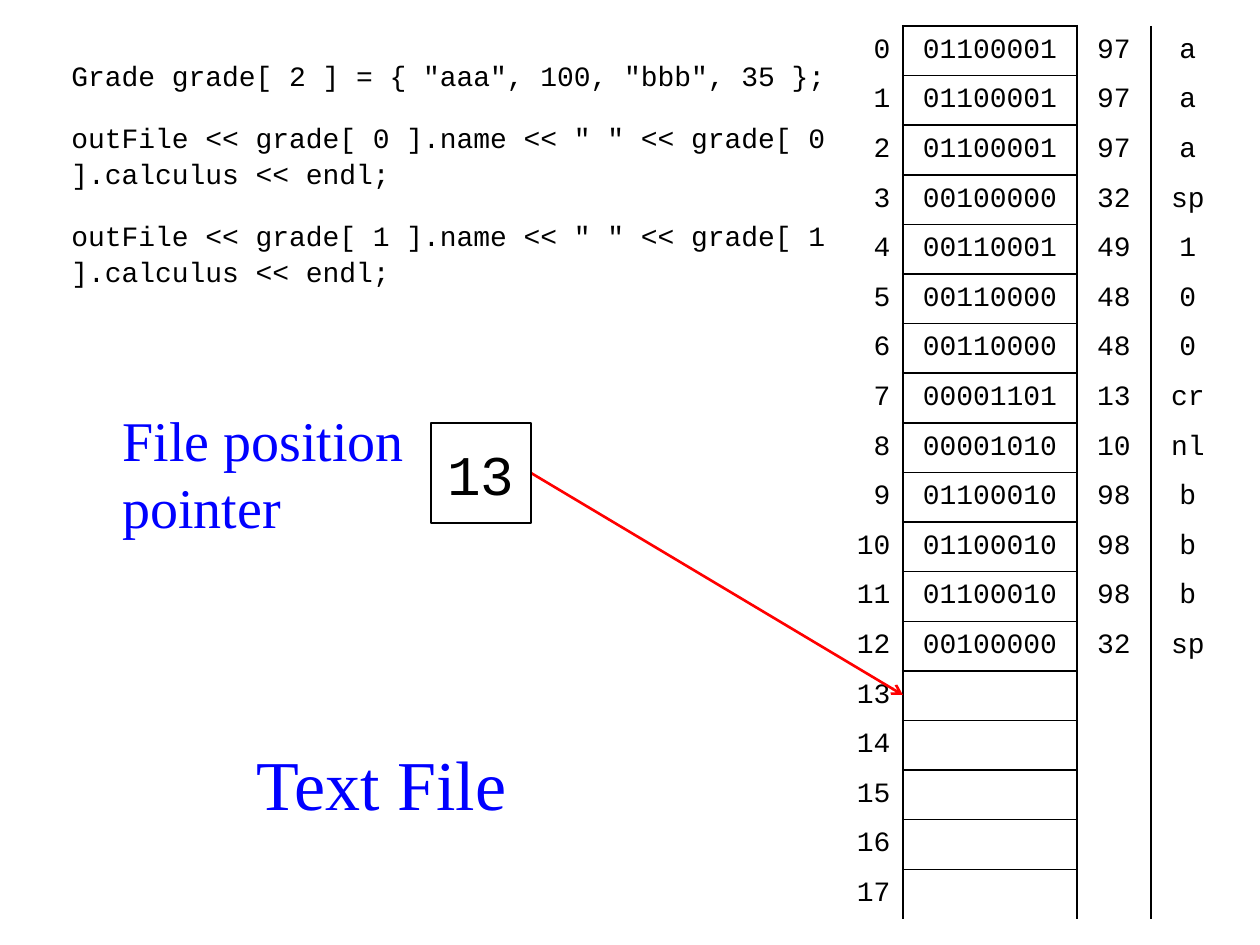
from lxml import etree
from pptx import Presentation
from pptx.dml.color import RGBColor
from pptx.enum.shapes import MSO_CONNECTOR, MSO_SHAPE
from pptx.enum.text import MSO_ANCHOR, PP_ALIGN
from pptx.oxml.ns import qn
from pptx.util import Pt

PX = 914400 // 126
LEFT, CENTER, RIGHT = PP_ALIGN.LEFT, PP_ALIGN.CENTER, PP_ALIGN.RIGHT
MIDDLE, TOP = MSO_ANCHOR.MIDDLE, MSO_ANCHOR.TOP
RECT, STRAIGHT = MSO_SHAPE.RECTANGLE, MSO_CONNECTOR.STRAIGHT
TITLE_ONLY = 5
NO_STYLE = "{2D5ABB26-0587-4C30-8999-92F81FD0307C}"
MONO, SERIF = "Courier New", "Times New Roman"
COLORS = {"ink": "000000", "label": "0000FF", "arrow": "FF0000"}

CODE = [
    'Grade grade[ 2 ] = { "aaa", 100, "bbb", 35 };',
    'outFile << grade[ 0 ].name << " " << grade[ 0 ].calculus << endl;',
    'outFile << grade[ 1 ].name << " " << grade[ 1 ].calculus << endl;',
]
# Characters written to the file, with the names of those that do not print
FILE_CHARS = "aaa 100\r\nbbb "
CHAR_NAMES = {" ": "sp", "\r": "cr", "\n": "nl"}
MEMORY_ROWS = 18


def rgb(name):
    return RGBColor.from_string(COLORS[name])


def px(*lengths):
    return [n * PX for n in lengths]


def write(tf, *lines, size=16, font=MONO, color="ink", align=LEFT,
          before=0, spacing=None):
    """Write one paragraph per line of text."""
    for i, line in enumerate(lines):
        p = tf.add_paragraph() if i else tf.paragraphs[0]
        p.alignment = align
        p.space_before = Pt(before)
        if spacing:
            p.line_spacing = spacing
        r = p.add_run()
        r.text = line
        r.font.size, r.font.name = Pt(size), font
        r.font.color.rgb = rgb(color)


def add_text(s, box, *lines, anchor=TOP, **fmt):
    tf = s.shapes.add_textbox(*px(*box)).text_frame
    tf.word_wrap = True
    tf.vertical_anchor = anchor
    write(tf, *lines, **fmt)


def add_title(s, box, text):
    title = s.shapes.title
    title.left, title.top, title.width, title.height = px(*box)
    title.text_frame.vertical_anchor = MIDDLE
    write(title.text_frame, text, size=40, font=SERIF, color="label", align=CENTER)


def add_pointer_box(s, box, text):
    sp = s.shapes.add_shape(RECT, *px(*box))
    sp.shadow.inherit = False
    sp.fill.background()
    sp.line.color.rgb = rgb("ink")
    sp.line.width = Pt(1.5)
    tf = sp.text_frame
    tf.word_wrap = False
    tf.vertical_anchor = MIDDLE
    write(tf, text, size=32, align=CENTER)


def add_arrow(s, start, end):
    line = s.shapes.add_connector(STRAIGHT, *px(*start, *end))
    line.line.color.rgb = rgb("arrow")
    line.line.width = Pt(1.5)
    sp_pr = line._element.spPr
    etree.SubElement(sp_pr.find(qn("a:ln")), qn("a:tailEnd"), type="arrow")
    etree.SubElement(sp_pr, qn("a:effectLst"))


def set_borders(cell, **widths):
    """Draw cell edges; widths in points, keyed L, R, T, B in that order."""
    tc_pr = cell._tc.get_or_add_tcPr()
    for side, width in widths.items():
        ln = etree.SubElement(tc_pr, qn(f"a:ln{side}"), w=str(int(Pt(width))))
        fill = etree.SubElement(ln, qn("a:solidFill"))
        etree.SubElement(fill, qn("a:srgbClr"), val=COLORS["ink"])


def memory_row(address):
    if address >= len(FILE_CHARS):
        return [str(address), "", "", ""]
    char = FILE_CHARS[address]
    code = ord(char)
    return [str(address), f"{code:08b}", str(code), CHAR_NAMES.get(char, char)]


def add_memory_table(s, box, widths):
    table = s.shapes.add_table(MEMORY_ROWS, len(widths), *px(*box)).table
    table.first_row = table.horz_banding = False
    table._tbl.tblPr.find(qn("a:tableStyleId")).text = NO_STYLE
    for column, width in zip(table.columns, widths):
        column.width = width * PX
    for i, row in enumerate(table.rows):
        row.height = box[3] * PX // MEMORY_ROWS
        for j, text in enumerate(memory_row(i)):
            cell = table.cell(i, j)
            if j == 1:
                edges = {"L": 1.5, "R": 1.5, "T": 1 if i else 1.5}
                if i < MEMORY_ROWS - 1:
                    edges["B"] = 1
                set_borders(cell, **edges)
                cell.margin_left = cell.margin_right = 10 * PX
            elif j == 2:
                set_borders(cell, L=1.5)
            cell.fill.background()
            cell.vertical_anchor = MIDDLE
            if text:
                write(cell.text_frame, text, align=CENTER if j else RIGHT, before=3.2)
            else:
                # Keep empty cells from stretching the row
                cell.margin_top = cell.margin_bottom = 0


def main():
    prs = Presentation()
    prs.slide_width, prs.slide_height = px(1260, 945)
    s = prs.slides.add_slide(prs.slide_layouts[TITLE_ONLY])

    # Memory contents and the code that wrote them
    add_memory_table(s, (829, 26, 396, 893), (74, 174, 74, 74))
    add_title(s, (233, 721, 297, 123), "Text File")
    add_text(s, (59, 50, 794, 248), *CODE, before=15, spacing=1.07)

    # File position pointer
    add_arrow(s, (531, 473), (903, 695))
    add_pointer_box(s, (431, 423, 100, 100), "13")
    add_text(s, (110, 398, 323, 149), "File position", "pointer",
             size=32, font=SERIF, color="label", anchor=MIDDLE)

    prs.save("out.pptx")


if __name__ == "__main__":
    main()
